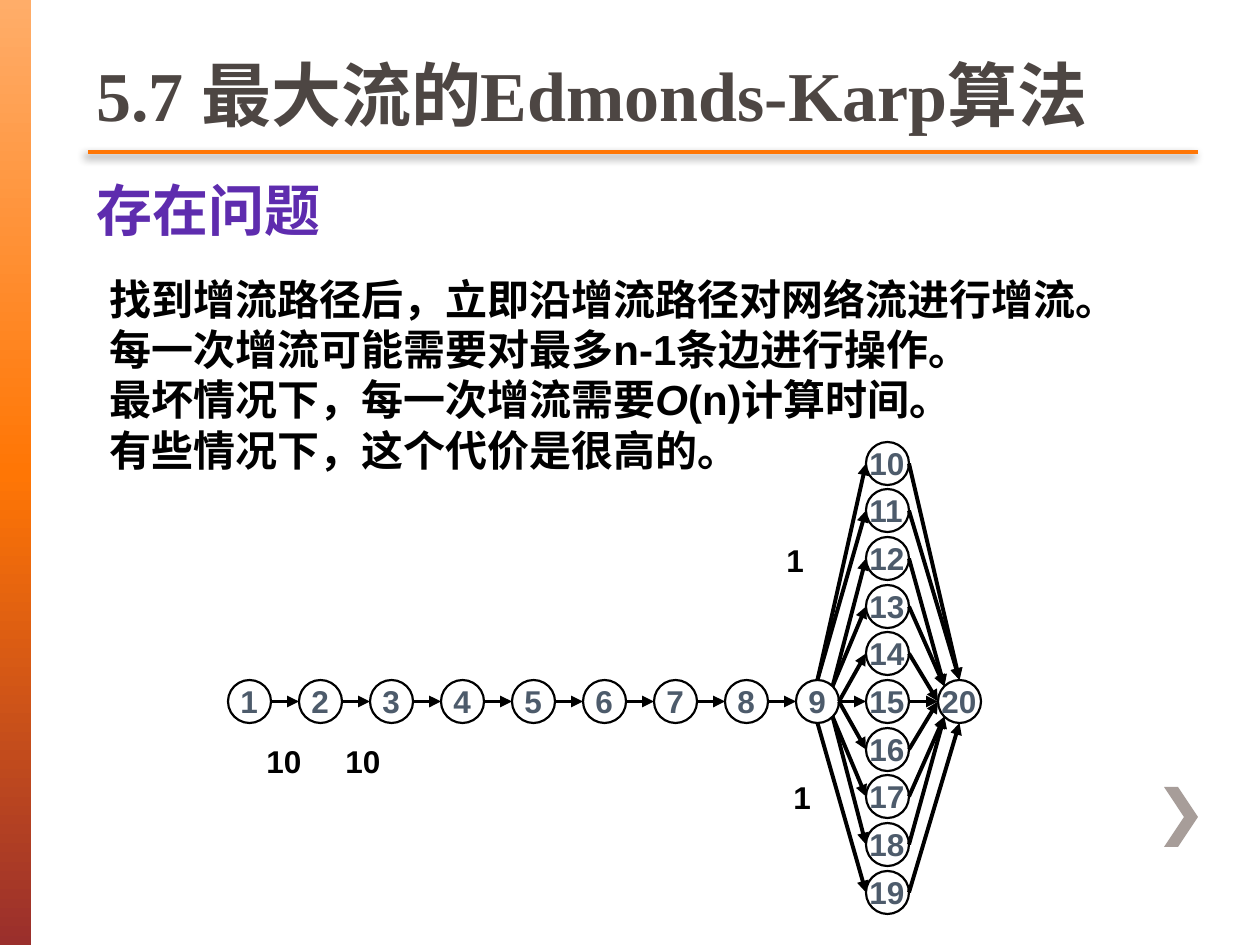
import copy
from dataclasses import dataclass

import pptx
import pptx.dml.color
import pptx.enum.shapes
import pptx.enum.text
import pptx.oxml
import pptx.oxml.ns
import pptx.util

PX = 914400 / 126  # EMU in one px
SHAPE = pptx.enum.shapes.MSO_SHAPE
ANCHOR = pptx.enum.text.MSO_ANCHOR
NS = pptx.oxml.ns.nsdecls("a")
qn = pptx.oxml.ns.qn

BLACK, WHITE, ORANGE = "000000", "FFFFFF", "FF7605"
DIAMETER = 43
ROW_LEFT, ROW_TOP, ROW_STEP = 228, 680, 71
COLUMN_LEFT, COLUMN_TOP = 866, 442

# Connection sites of an ellipse: index, and place as a share of the diameter
SITES = {
    "top": (0, 0.5, 0), "top left": (1, 0.15, 0.15), "left": (2, 0, 0.5),
    "bottom left": (3, 0.15, 0.85), "bottom": (4, 0.5, 1),
    "bottom right": (5, 0.85, 0.85), "right": (6, 1, 0.5),
    "top right": (7, 0.85, 0.15),
}


@dataclass
class Node:
    number: int
    left: int
    top: int
    shape: object = None

    def point(self, site: str) -> tuple:
        _, fx, fy = SITES[site]
        return self.left + fx * DIAMETER, self.top + fy * DIAMETER


@dataclass
class Edge:
    start: int
    end: int
    start_site: str = "right"
    end_site: str = "left"


@dataclass
class Text:
    left: int
    top: int
    width: int
    height: int
    paragraphs: list  # each a list of runs; a run in italics is a 1-tuple
    size: int
    color: str = BLACK
    font: str = "Arial"
    anchor: object = ANCHOR.TOP


def emu(*lengths: float) -> list:
    return [pptx.util.Emu(round(n * PX)) for n in lengths]


def rgb(color: str) -> pptx.dml.color.RGBColor:
    return pptx.dml.color.RGBColor.from_string(color)


def add_text(s, text: Text) -> None:
    box = s.shapes.add_textbox(*emu(text.left, text.top, text.width, text.height))
    tf = box.text_frame
    tf.word_wrap = True
    tf.vertical_anchor = text.anchor
    for i, runs in enumerate(text.paragraphs):
        p = tf.add_paragraph() if i else tf.paragraphs[0]
        for run in runs:
            r = p.add_run()
            r.text = run[0] if isinstance(run, tuple) else run
            r.font.italic = isinstance(run, tuple) or None
            r.font.name = text.font
            r.font.size = pptx.util.Pt(text.size)
            r.font.bold = True
            r.font.color.rgb = rgb(text.color)


def add_line(s, start: tuple, end: tuple, color: str, width: float, effect: str = ""):
    line = s.shapes.add_connector(
        pptx.enum.shapes.MSO_CONNECTOR.STRAIGHT, *emu(*start, *end))
    line.line.color.rgb = rgb(color)
    line.line.width = pptx.util.Pt(width)
    line._element.spPr.append(
        pptx.oxml.parse_xml(f"<a:effectLst {NS}>{effect}</a:effectLst>"))
    return line


def add_node(s, node: Node) -> None:
    sp = s.shapes.add_shape(
        SHAPE.OVAL, *emu(node.left, node.top, DIAMETER, DIAMETER))
    sp.shadow.inherit = False
    sp.fill.solid()
    sp.fill.fore_color.rgb = rgb(WHITE)
    sp.line.color.rgb = rgb(BLACK)
    sp.line.width = pptx.util.Pt(1.25)
    node.shape = sp


def add_edge(s, nodes: dict, edge: Edge) -> None:
    start, end = nodes[edge.start], nodes[edge.end]
    line = add_line(s, start.point(edge.start_site), end.point(edge.end_site),
                    BLACK, 2.25)
    line.line._get_or_add_ln().append(
        pptx.oxml.parse_xml(f'<a:tailEnd {NS} type="triangle"/>'))
    joints = line._element.nvCxnSpPr.cNvCxnSpPr
    for tag, node, site in (("stCxn", start, edge.start_site),
                            ("endCxn", end, edge.end_site)):
        joints.append(pptx.oxml.parse_xml(
            f'<a:{tag} {NS} id="{node.shape.shape_id}" idx="{SITES[site][0]}"/>'))


def add_label(s, node: Node) -> None:
    dx, width = (0, 34) if node.number < 10 else (-9, 67)
    add_text(s, Text(node.left + dx, node.top - 4, width, 50,
                     [[str(node.number)]], 18, "4D5B6B"))


def add_frame(s) -> None:
    # Side band
    band = s.shapes.add_shape(SHAPE.RECTANGLE, *emu(0, 0, 31, 945))
    band.shadow.inherit = False
    band.line.fill.background()
    band.fill.gradient()
    band.fill.gradient_angle = 270
    stops = band._element.spPr.find(".//" + qn("a:gsLst"))
    stops.insert(1, copy.deepcopy(stops[0]))
    for stop, (position, color) in zip(
            band.fill.gradient_stops,
            ((0, "FFAD69"), (0.5, ORANGE), (1, "9A2F2C"))):
        stop.position = position
        stop.color.rgb = rgb(color)

    # Chevron
    builder = s.shapes.build_freeform(1178, 787, PX)
    builder.add_line_segments(
        [(1164, 787), (1184, 817), (1164, 847), (1178, 847), (1198, 817)])
    chevron = builder.convert_to_shape()
    chevron.shadow.inherit = False
    chevron.fill.solid()
    chevron.fill.fore_color.rgb = rgb("A79D99")
    chevron.line.fill.background()

    # Rule under the title
    add_line(s, (88, 152), (1198, 152), ORANGE, 2.5,
             '<a:outerShdw blurRad="63500" dist="38100" dir="8100000">'
             '<a:srgbClr val="000000"><a:alpha val="45000"/></a:srgbClr>'
             '</a:outerShdw>')


def main() -> None:
    prs = pptx.Presentation()
    prs.slide_width, prs.slide_height = emu(1260, 945)
    s = prs.slides.add_slide(prs.slide_layouts[6])
    add_frame(s)

    # Heading and body
    add_text(s, Text(84, 169, 949, 79, [["存在问题"]], 32, "5E2CAE"))
    add_text(s, Text(97, 267, 1067, 217, [
        ["找到增流路径后，立即沿增流路径对网络流进行增流。"],
        ["每一次增流可能需要对最多n-1条边进行操作。"],
        ["最坏情况下，每一次增流需要", ("O",), "(n)计算时间。"],
        ["有些情况下，这个代价是很高的。"],
    ], 24))
    add_text(s, Text(84, 0, 1110, 142, [["5.7 最大流的Edmonds-Karp算法"]],
                     40, "4D4643", "Times New Roman", ANCHOR.BOTTOM))

    # Flow network: a chain 1-9, a column 10-19 and the sink 20
    row = [Node(n, ROW_LEFT + ROW_STEP * i, ROW_TOP)
           for n, i in [(n, n - 1) for n in range(1, 10)] + [(20, 10)]]
    column = [Node(10 + k, COLUMN_LEFT, COLUMN_TOP + 143 * k // 3)
              for k in range(10)]
    nodes = {node.number: node for node in row + column}
    edges = [Edge(n, n + 1) for n in range(1, 9)]
    sides = ([("top", "top")] * 2 + [("top right", "top left")] * 2
             + [("right", "left")] * 3 + [("bottom right", "bottom left")] * 2
             + [("bottom", "bottom")])
    for node, (out_site, in_site) in zip(column, sides):
        edges += [Edge(9, node.number, start_site=out_site),
                  Edge(node.number, 20, end_site=in_site)]

    for node in nodes.values():
        add_node(s, node)
    for edge in edges:
        add_edge(s, nodes, edge)
    for node in nodes.values():
        add_label(s, node)

    # Capacities
    for left, top, capacity in ((254, 736, "10"), (333, 736, "10"),
                                (774, 535, "1"), (781, 772, "1")):
        add_text(s, Text(left, top, 62, 50, [[capacity]], 18))

    prs.save("out.pptx")


if __name__ == "__main__":
    main()
